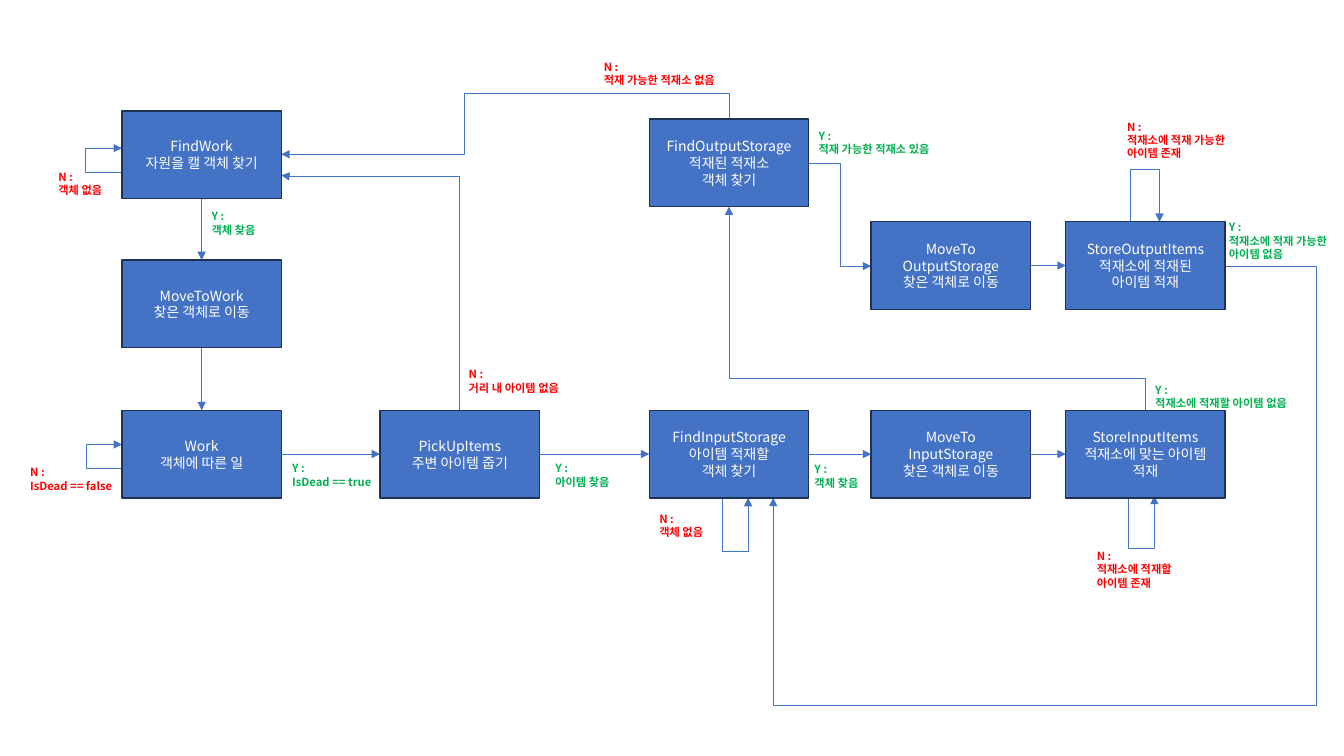
from lxml import etree
from pptx import Presentation
from pptx.dml.color import RGBColor
from pptx.enum.shapes import MSO_CONNECTOR, MSO_SHAPE
from pptx.enum.text import MSO_ANCHOR, PP_ALIGN
from pptx.oxml.ns import qn
from pptx.util import Inches, Pt

RECT = MSO_SHAPE.RECTANGLE
LINE = MSO_CONNECTOR.STRAIGHT
ELBOW = MSO_CONNECTOR.ELBOW
CENTER = PP_ALIGN.CENTER
LEFT = PP_ALIGN.LEFT
MIDDLE = MSO_ANCHOR.MIDDLE
BLUE = RGBColor(0x44, 0x72, 0xC4)
NAVY = RGBColor(0x1E, 0x32, 0x56)
WHITE = RGBColor(0xFF, 0xFF, 0xFF)
RED = RGBColor(0xFF, 0x00, 0x00)
GREEN = RGBColor(0x00, 0xB0, 0x50)
FONT = "Noto Sans CJK KR"
WIDTH, HEIGHT = 1.58, 0.87
TOP, SIDE, BOTTOM, RIGHT = 0, 1, 2, 3

STATES = {
    "find": (1.21, 1.1, ["FindWork", "자원을 캘 객체 찾기"]),
    "move": (1.21, 2.58, ["MoveToWork", "찾은 객체로 이동"]),
    "work": (1.21, 4.07, ["Work", "객체에 따른 일"]),
    "pick": (3.77, 4.07, ["PickUpItems", "주변 아이템 줍기"]),
    "find_in": (6.44, 4.07, ["FindInputStorage", "아이템 적재할", "객체 찾기"]),
    "move_in": (8.64, 4.07, ["MoveTo", "InputStorage", "찾은 객체로 이동"]),
    "store_in": (10.57, 4.07, ["StoreInputItems", "적재소에 맞는 아이템 적재"]),
    "find_out": (6.44, 1.18, ["FindOutputStorage", "적재된 적재소", "객체 찾기"]),
    "move_out": (8.64, 2.2, ["MoveTo", "OutputStorage", "찾은 객체로 이동"]),
    "store_out": (10.57, 2.2, ["StoreOutputItems", "적재소에 적재된", "아이템 적재"]),
}

LINKS = [
    ("find", BOTTOM, "move", TOP),
    ("move", BOTTOM, "work", TOP),
    ("work", RIGHT, "pick", SIDE),
    ("pick", RIGHT, "find_in", SIDE),
    ("find_in", RIGHT, "move_in", SIDE),
    ("move_in", RIGHT, "store_in", SIDE),
    ("move_out", RIGHT, "store_out", SIDE),
]

ACROSS = [
    ((8.02, 1.62), (8.64, 2.64), [8.33]),
    ((1.8, 1.71), (1.21, 1.47), [0.85]),
    ((1.8, 4.65), (1.21, 4.41), [0.86]),
    ((13.06, 7), (7.67, 4.94), [7.67]),
]

UPDOWN = [
    ((11.21, 2.99), (11.5, 2.2), [1.68]),
    ((4.56, 4.07), (2.79, 1.74), [1.75]),
    ((7.23, 1.18), (2.79, 1.53), [0.93, 4.61]),
    ((11.36, 4.07), (7.23, 2.05), [3.75]),
    ((7.16, 4.6), (7.42, 4.94), [5.47]),
    ((11.19, 4.58), (11.45, 4.92), [5.44]),
]

NOTES = [
    (4.55, 3.6, 1.59, "N :", ["거리 내 아이템 없음"]),
    (5.41, 4.53, 1.36, "Y :", ["아이템 찾음"]),
    (2, 2.03, 1.36, "Y :", ["객체 찾음"]),
    (0.48, 1.64, 0.88, "N :", ["객체 없음"]),
    (2.8, 4.53, 1.36, "Y :", ["IsDead == true"]),
    (0.2, 4.57, 1.59, "N :", ["IsDead == false"]),
    (6.44, 5.03, 0.88, "N :", ["객체 없음"]),
    (7.98, 4.54, 1.36, "Y :", ["객체 찾음"]),
    (10.78, 5.4, 1.34, "N :", ["적재소에 적재할", "아이템 존재"]),
    (11.36, 3.75, 1.7, "Y :", ["적재소에 적재할 아이템 없음"]),
    (5.89, 0.55, 1.58, "N :", ["적재 가능한 적재소 없음"]),
    (8.02, 1.23, 1.7, "Y :", ["적재 가능한 적재소 있음"]),
    (11.08, 1.14, 1.34, "N :", ["적재소에 적재 가능한", "아이템 존재"]),
    (12.09, 2.14, 1.24, "Y :", ["적재소에 적재 가능한", "아이템 없음"]),
]


def write(frame, lines, size, color, align, bold=False):
    frame.word_wrap = True
    for i, line in enumerate(lines):
        para = frame.paragraphs[0] if i == 0 else frame.add_paragraph()
        para.alignment = align
        run = para.add_run()
        run.text = line
        font = run.font
        font.name, font.size, font.bold = FONT, Pt(size), bold
        font.color.rgb = color
        etree.SubElement(font._element, qn("a:ea"), typeface=FONT)


def add_state(slide, left, top, lines):
    box = slide.shapes.add_shape(
        RECT, Inches(left), Inches(top), Inches(WIDTH), Inches(HEIGHT))
    box.shadow.inherit = False
    box.fill.solid()
    box.fill.fore_color.rgb = BLUE
    box.line.color.rgb = NAVY
    box.line.width = Pt(1)
    box.text_frame.vertical_anchor = MIDDLE
    write(box.text_frame, lines, 10, WHITE, CENTER)
    return box


def add_note(slide, left, top, width, mark, lines):
    height = 0.11 + 0.13 * (len(lines) + 1)
    box = slide.shapes.add_textbox(
        Inches(left), Inches(top), Inches(width), Inches(height))
    color = RED if mark == "N :" else GREEN
    write(box.text_frame, [mark] + lines, 8, color, LEFT, True)


def add_line(slide, kind, start, end, arrow=True):
    points = [Inches(n) for n in (*start, *end)]
    line = slide.shapes.add_connector(kind, *points)
    line.line.color.rgb = BLUE
    line.line.width = Pt(0.5)
    if arrow:
        edge = line.line._get_or_add_ln()
        etree.SubElement(edge, qn("a:tailEnd"), type="triangle")
    etree.SubElement(line._element.spPr, qn("a:effectLst"))
    return line


def add_bend(slide, start, end, bends, upright=False, arrow=True):
    (x1, y1), (x2, y2) = start, end
    if upright:
        mid_x, mid_y = (x1 + x2) / 2, (y1 + y2) / 2
        half_w, half_h = (y1 - y2) / 2, (x2 - x1) / 2
        line = add_line(slide, ELBOW, (mid_x - half_w, mid_y - half_h),
                        (mid_x + half_w, mid_y + half_h), arrow)
        line._element.spPr.find(qn("a:xfrm")).set("rot", str(270 * 60000))
        spans = [(y1, y2), (x1, x2)]
    else:
        line = add_line(slide, ELBOW, start, end, arrow)
        spans = [(x1, x2), (y1, y2)]
    geom = line._element.spPr.find(qn("a:prstGeom"))
    geom.set("prst", f"bentConnector{len(bends) + 2}")
    guides = geom.find(qn("a:avLst"))
    for i, (bend, (low, high)) in enumerate(zip(bends, spans), 1):
        ratio = round((bend - low) / (high - low) * 100000)
        etree.SubElement(guides, qn("a:gd"), name=f"adj{i}", fmla=f"val {ratio}")


def add_link(slide, first, out, second, into):
    line = add_line(slide, LINE, (0, 0), (1, 1))
    line.begin_connect(first, out)
    line.end_connect(second, into)


def main():
    deck = Presentation()
    deck.slide_width, deck.slide_height = Inches(13.33), Inches(7.5)
    slide = deck.slides.add_slide(deck.slide_layouts[6])
    for route in ACROSS:
        add_bend(slide, *route)
    for route in UPDOWN:
        add_bend(slide, *route, upright=True)
    add_bend(slide, (12.15, 2.64), (13.06, 7), [], arrow=False)
    boxes = {name: add_state(slide, *state) for name, state in STATES.items()}
    for first, out, second, into in LINKS:
        add_link(slide, boxes[first], out, boxes[second], into)
    for note in NOTES:
        add_note(slide, *note)
    deck.save("out.pptx")


if __name__ == "__main__":
    main()
